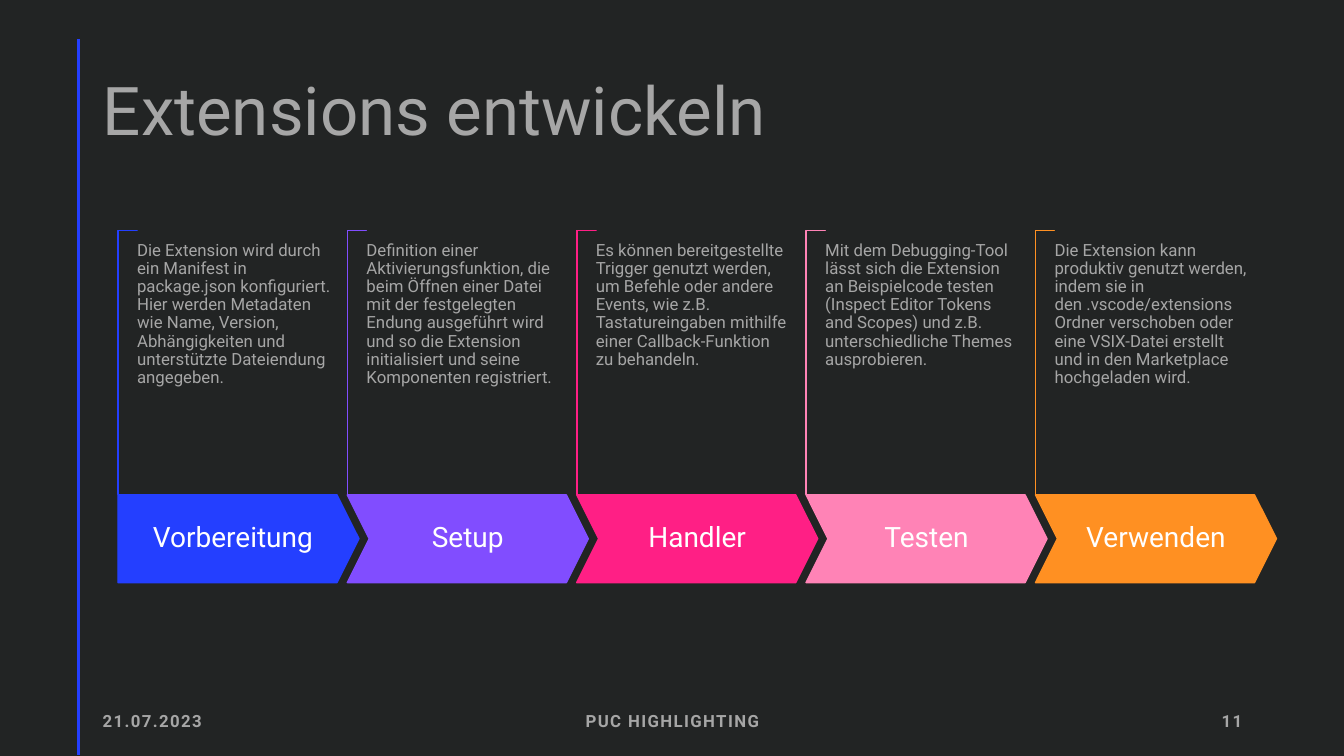
from lxml.etree import SubElement
from pptx import Presentation
from pptx.dml.color import RGBColor
from pptx.enum.shapes import MSO_CONNECTOR, MSO_SHAPE
from pptx.enum.text import MSO_ANCHOR, PP_ALIGN
from pptx.oxml.ns import qn
from pptx.util import Inches, Pt

COLORS = {
    "background": "222424",
    "gray": "A6A6A6",
    "white": "FFFFFF",
    "blue": "243FFF",
    "violet": "814DFF",
    "pink": "FF1F85",
    "rose": "FF83B6",
    "orange": "FF9022",
}
FONT = "Roboto"
FIRST_LEFT = 1.17
STEP_PITCH = 2.275
ARROW_TOP = 4.91
BRACKET_LENGTH, BRACKET_DEPTH = 2.62, 0.19

STEPS = [
    ("Vorbereitung", "blue",
     "Die Extension wird durch ein Manifest in package.json konfiguriert. "
     "Hier werden Metadaten wie Name, Version, Abhängigkeiten und "
     "unterstützte Dateiendung angegeben."),
    ("Setup", "violet",
     "Definition einer Aktivierungsfunktion, die beim Öffnen einer Datei mit "
     "der festgelegten Endung ausgeführt wird und so die Extension "
     "initialisiert und seine Komponenten registriert."),
    ("Handler", "pink",
     "Es können bereitgestellte Trigger genutzt werden, um Befehle oder "
     "andere Events, wie z.B. Tastatureingaben mithilfe einer "
     "Callback-Funktion zu behandeln."),
    ("Testen", "rose",
     "Mit dem Debugging-Tool lässt sich die Extension an Beispielcode testen "
     "(Inspect Editor Tokens and Scopes) und z.B. unterschiedliche Themes "
     "ausprobieren."),
    ("Verwenden", "orange",
     "Die Extension kann produktiv genutzt werden, indem sie in "
     "den .vscode/extensions Ordner verschoben oder eine VSIX-Datei erstellt "
     "und in den Marketplace hochgeladen wird."),
]
FOOTERS = [
    ("21.07.2023", 0.92, 3, PP_ALIGN.LEFT),
    ("PUC HIGHLIGHTING", 4.42, 4.5, PP_ALIGN.CENTER),
    ("11", 9.42, 3, PP_ALIGN.RIGHT),
]


def rgb(name):
    return RGBColor.from_string(COLORS[name])


def write_text(box, text, size=12, color="gray", bold=False, tracking=0,
               align=PP_ALIGN.LEFT, anchor=MSO_ANCHOR.MIDDLE,
               line_spacing=0.9, insets=(0.1, 0.05)):
    """Fill a shape with one formatted paragraph."""
    frame = box.text_frame
    frame.word_wrap = True
    frame.vertical_anchor = anchor
    frame.margin_left = frame.margin_right = Inches(insets[0])
    frame.margin_top = frame.margin_bottom = Inches(insets[1])
    para = frame.paragraphs[0]
    para.alignment = align
    para.line_spacing = line_spacing
    span = para.add_run()
    span.text = text
    span.font.name = FONT
    span.font.size = Pt(size)
    span.font.bold = bold
    span.font.color.rgb = rgb(color)
    if tracking:
        span._r.get_or_add_rPr().set("spc", str(tracking * 100))


def add_text(page, text, left, top, width, height, **text_format):
    box = page.shapes.add_textbox(
        Inches(left), Inches(top), Inches(width), Inches(height))
    write_text(box, text, **text_format)


def add_title(page, text):
    title = page.shapes.title
    title.left, title.top = Inches(0.92), Inches(0.4)
    title.width, title.height = Inches(11.5), Inches(1.45)
    write_text(title, text, size=48)


def add_side_line(page):
    line = page.shapes.add_connector(
        MSO_CONNECTOR.STRAIGHT,
        Inches(0.78), Inches(0.39), Inches(0.78), Inches(7.49))
    line.line.color.rgb = rgb("blue")
    line.line.width = Pt(2)
    SubElement(line._element.spPr, qn("a:effectLst"))


def add_colored_shape(page, kind, left, top, width, height, fill, outline,
                      adjustments):
    shape = page.shapes.add_shape(
        kind, Inches(left), Inches(top), Inches(width), Inches(height))
    shape.shadow.inherit = False
    shape.fill.solid()
    shape.fill.fore_color.rgb = rgb(fill)
    shape.line.color.rgb = rgb(outline)
    shape.line.width = Pt(1)
    for index, value in enumerate(adjustments):
        shape.adjustments[index] = value
    return shape


def add_step(page, index, name, color, description):
    left = FIRST_LEFT + index * STEP_PITCH
    bracket = add_colored_shape(
        page, MSO_SHAPE.CORNER,
        left + (BRACKET_DEPTH - BRACKET_LENGTH) / 2, 3.5,
        BRACKET_LENGTH, BRACKET_DEPTH, "white", color, (0.01, 0.01))
    bracket.rotation = 90
    kind = MSO_SHAPE.CHEVRON if index else MSO_SHAPE.PENTAGON
    arrow = add_colored_shape(
        page, kind, left, ARROW_TOP, 2.39, 0.87, color, color, (0.25,))
    write_text(arrow, name, size=20, color="white", align=PP_ALIGN.CENTER,
               insets=(0.14, 0.28))
    add_text(page, description, left + 0.19, 2.4, 1.94, 1.96,
             anchor=MSO_ANCHOR.TOP, insets=(0, 0))


def main():
    deck = Presentation()
    deck.slide_width, deck.slide_height = Inches(13.33), Inches(7.5)
    page = deck.slides.add_slide(deck.slide_layouts[5])
    page.background.fill.solid()
    page.background.fill.fore_color.rgb = rgb("background")
    add_side_line(page)
    add_title(page, "Extensions entwickeln")
    for text, left, width, align in FOOTERS:
        add_text(page, text, left, 6.95, width, 0.4, bold=True, tracking=1,
                 align=align, line_spacing=1.0)
    for index, step in enumerate(STEPS):
        add_step(page, index, *step)
    deck.save("out.pptx")


if __name__ == "__main__":
    main()
